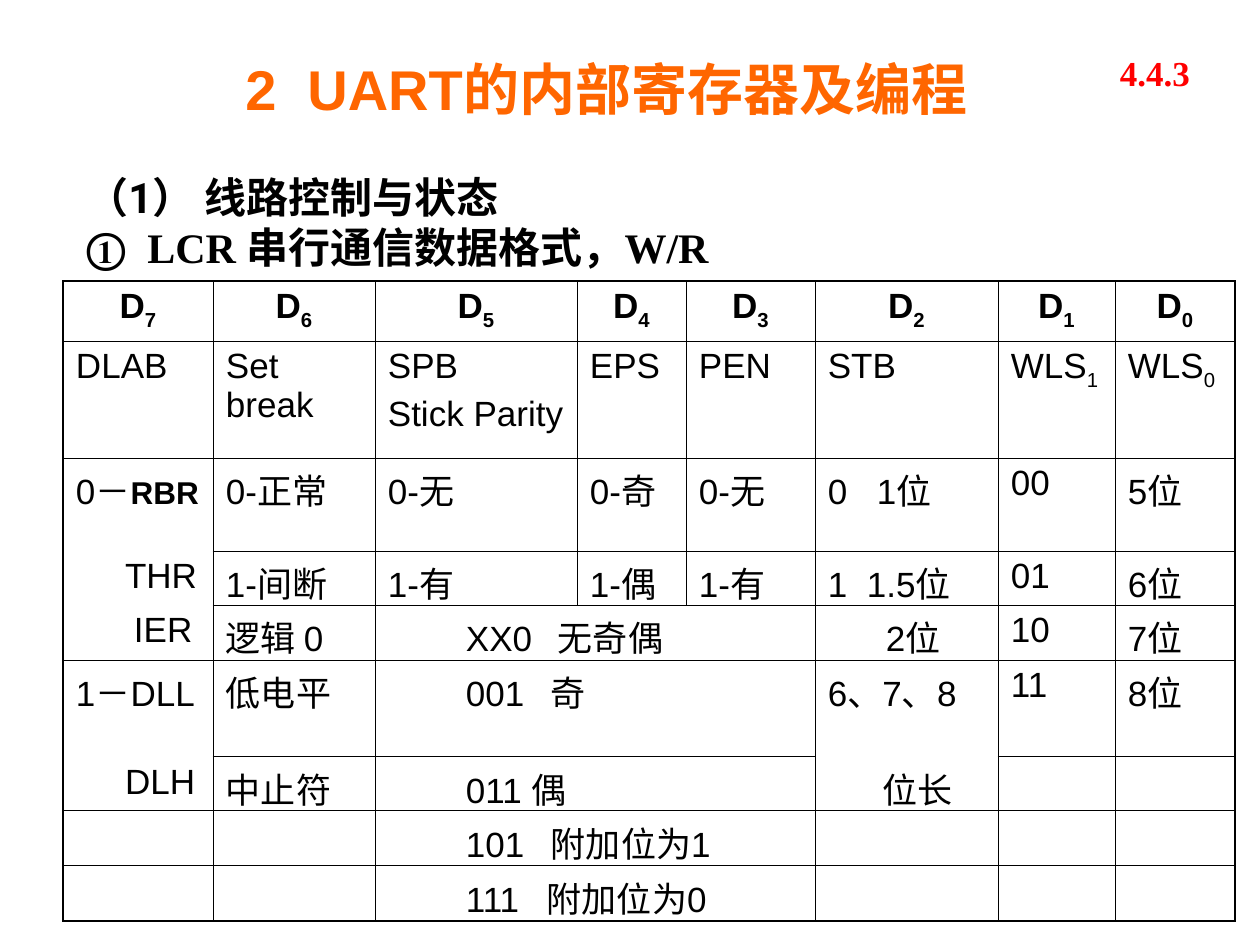
from dataclasses import dataclass
from lxml.etree import SubElement
from pptx import Presentation
from pptx.dml.color import RGBColor
from pptx.enum.text import MSO_ANCHOR, PP_ALIGN
from pptx.oxml.ns import qn
from pptx.util import Emu, Pt

SCALE = 914400 / 126
BLACK = "000000"
THIN, THICK = 0.45, 1.08


@dataclass
class Style:
    size: int = 20
    face: str = "Arial"
    color: str = BLACK
    bold: bool = False


@dataclass
class Line:
    text: str
    style: Style
    stops: tuple = ()
    align: PP_ALIGN = PP_ALIGN.LEFT


@dataclass
class Label:
    box: tuple
    lines: list
    anchor: MSO_ANCHOR = MSO_ANCHOR.TOP


LABELS = [
    Label((233, 35, 883, 107),
          [Line("2\tUART的内部寄存器及编程", Style(32, color="FF6600", bold=True), (62,))],
          MSO_ANCHOR.MIDDLE),
    Label((74, 165, 1102, 113),
          [Line("（1） 线路控制与状态", Style(24, "Roboto", bold=True)),
           Line("①\tLCR 串行通信数据格式，W/R",
                Style(24, "Times New Roman", bold=True), (61,))]),
    Label((1096, 45, 118, 55),
          [Line("4.4.3", Style(20, "Times New Roman", "FF0000", True),
                align=PP_ALIGN.CENTER)]),
]

COLS = (150, 162, 202, 109, 129, 183, 117, 120)
ROWS = (60, 117, 93, 54, 55, 97, 54, 55, 55)
GRID = [
    [f"D_{bit}" for bit in range(7, -1, -1)],
    ["DLAB", "Set break", "SPB\nStick Parity", "EPS", "PEN", "STB", "WLS_1", "WLS_0"],
    ["0－*RBR", "0-正常", "0-无", "0-奇", "0-无", "0\t1位", "00", "5位"],
    ["\tTHR", "1-间断", "1-有", "1-偶", "1-有", "1\t1.5位", "01", "6位"],
    ["\tIER", "逻辑 0", "\tXX0\t无奇偶", "", "", "\t2位", "10", "7位"],
    ["1－DLL", "低电平", "\t001\t奇", "", "", "6、7、8", "11", "8位"],
    ["\tDLH", "中止符", "\t011 偶", "", "", "\t位长", "", ""],
    ["", "", "\t101\t附加位为1", "", "", "", "", ""],
    ["", "", "\t111\t附加位为0", "", "", "", "", ""],
]
STOPS = {
    (2, 5): (49,), (3, 0): (49,), (3, 5): (39,), (4, 0): (58,), (4, 5): (58,),
    (6, 0): (49,), (6, 5): (55,), (4, 2): (78, 170), (5, 2): (78, 163),
    (6, 2): (78,), (7, 2): (78, 163), (8, 2): (78, 159),
}
OPEN = {(2, 0), (3, 0), (5, 0), (5, 5)}


def px(num: int) -> Emu:
    """Turn px into EMU."""
    return Emu(round(num * SCALE))


def rgb(code: str) -> RGBColor:
    """Turn a hex string into a colour."""
    return RGBColor.from_string(code)


def ink(run, style: Style) -> None:
    """Format one run."""
    font = run.font
    font.size, font.name, font.bold = Pt(style.size), style.face, style.bold
    font.color.rgb = rgb(style.color)


def write(para, line: Line) -> None:
    """Fill a paragraph; _ starts a subscript and * a small bold part."""
    mark = next((m for m in "_*" if m in line.text), "\n")
    head, _, tail = line.text.partition(mark)
    para.text = head
    para.alignment = line.align
    if line.stops:
        tabs = SubElement(para._p.get_or_add_pPr(), qn("a:tabLst"))
        for stop in line.stops:
            SubElement(tabs, qn("a:tab"), pos=str(px(stop)), algn="l")
    for run in para.runs:
        ink(run, line.style)
    if tail:
        run = para.add_run()
        run.text = tail
        ink(run, Style(18, bold=True) if mark == "*" else line.style)
        if mark == "_":
            run._r.get_or_add_rPr().set("baseline", "-25000")


def fill(frame, lines: list, gap: int = 0) -> None:
    """Write lines into a text frame."""
    for idx, line in enumerate(lines):
        para = frame.add_paragraph() if idx else frame.paragraphs[0]
        write(para, line)
        if idx:
            para.space_before = Pt(gap)


def label(slide, item: Label) -> None:
    """Add a text box."""
    frame = slide.shapes.add_textbox(*map(px, item.box)).text_frame
    frame.word_wrap = True
    frame.vertical_anchor = item.anchor
    fill(frame, item.lines)


def edge(cell, row: int, col: int) -> None:
    """Draw the borders of a cell."""
    props = cell._tc.get_or_add_tcPr()
    outer = {"L": col == 0, "R": col == len(COLS) - 1,
             "T": row == 0, "B": row == len(ROWS) - 1}
    clear = {"T": (row - 1, col) in OPEN, "B": (row, col) in OPEN}
    for side, thick in outer.items():
        width = Pt(THICK if thick else THIN)
        rule = SubElement(props, qn(f"a:ln{side}"), w=str(width))
        if clear.get(side):
            SubElement(rule, qn("a:noFill"))
        else:
            paint = SubElement(rule, qn("a:solidFill"))
            SubElement(paint, qn("a:srgbClr"), val=BLACK)


def grid(slide) -> None:
    """Add the register table."""
    area = map(px, (63, 281, sum(COLS), sum(ROWS)))
    table = slide.shapes.add_table(len(ROWS), len(COLS), *area).table
    table.first_row = table.horz_banding = False
    for col, width in zip(table.columns, COLS):
        col.width = px(width)
    for row, high in zip(table.rows, ROWS):
        row.height = px(high)
    for row, texts in enumerate(GRID):
        for col, text in enumerate(texts):
            cell = table.cell(row, col)
            edge(cell, row, col)
            cell.fill.background()
            cell.margin_left = cell.margin_right = px(13)
            cell.margin_top = cell.margin_bottom = px(6)
            align = PP_ALIGN.LEFT if row else PP_ALIGN.CENTER
            stops = STOPS.get((row, col), ())
            if text:
                fill(cell.text_frame, [Line(part, Style(bold=row == 0), stops, align)
                                       for part in text.split("\n")], 5)
        if row > 3:
            table.cell(row, 2).merge(table.cell(row, 4))


def main() -> None:
    """Build the slide."""
    deck = Presentation()
    deck.slide_width, deck.slide_height = px(1260), px(945)
    slide = deck.slides.add_slide(deck.slide_layouts[6])
    for item in LABELS:
        label(slide, item)
    grid(slide)
    deck.save("out.pptx")


if __name__ == "__main__":
    main()
